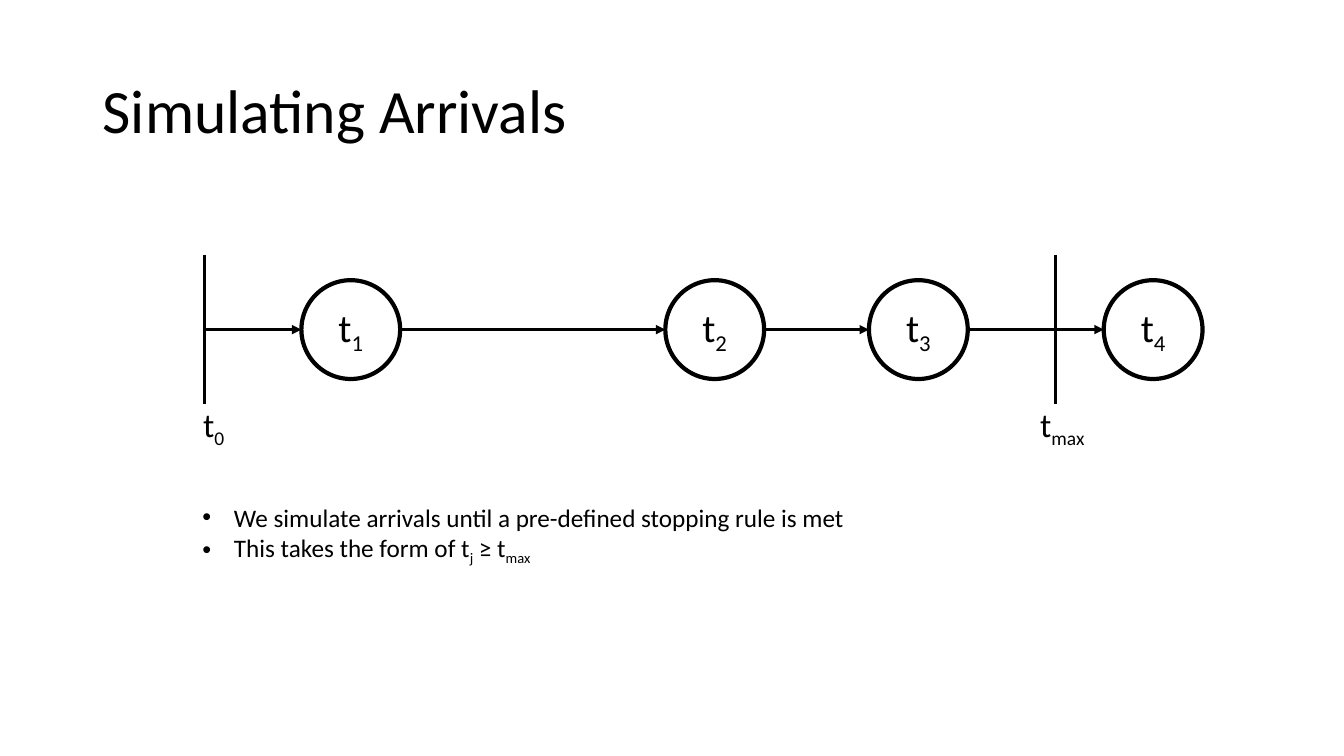
import itertools
from dataclasses import dataclass

import pptx
import pptx.dml.color
import pptx.enum.shapes
import pptx.enum.text
import pptx.oxml.ns
import pptx.shapes.autoshape
import pptx.slide
import pptx.text.text
import pptx.util
from lxml import etree

BLACK = pptx.dml.color.RGBColor(0, 0, 0)
FONT = "Calibri"
ALIGN = pptx.enum.text.PP_ALIGN
ANCHOR = pptx.enum.text.MSO_ANCHOR

WIDTH, HEIGHT = pptx.util.Inches(13.333), pptx.util.Inches(7.5)
GRID = 100  # columns and rows across the slide

AXIS_ROW = 43.6
TICK_ROWS = 9.87
LABEL_ROW = 56.4
DIAMETER = 7.35  # columns
INDENT = 2.34  # columns


@dataclass(frozen=True)
class Arrival:
    label: str
    col: float


@dataclass(frozen=True)
class Limit:
    label: str
    col: float
    label_col: float


ARRIVALS = [Arrival("t_1", 26.1), Arrival("t_2", 53.18), Arrival("t_3", 68.33), Arrival("t_4", 85.8)]
LIMITS = [Limit("t_0", 15.23, 15.9), Limit("t_max", 78.53, 79.05)]
RULES = [
    "We simulate arrivals until a pre-defined stopping rule is met",
    "This takes the form of t_j_ ≥ t_max",
]


def cols(n: float) -> int:
    return round(WIDTH * n / GRID)


def rows(n: float) -> int:
    return round(HEIGHT * n / GRID)


def child(parent: etree._Element, tag: str, **attrs: str) -> etree._Element:
    return etree.SubElement(parent, pptx.oxml.ns.qn(tag), **attrs)


def write(tf: pptx.text.text.TextFrame, *lines: str, size: float, align: ALIGN = ALIGN.LEFT,
          anchor: ANCHOR = ANCHOR.MIDDLE, spacing: float = 1.0, bullet: bool = False,
          inset: bool = True) -> None:
    """Write one paragraph per line; every second part between underscores is a subscript."""
    tf.word_wrap = True
    tf.vertical_anchor = anchor
    if not inset:
        tf.margin_left = tf.margin_right = tf.margin_top = tf.margin_bottom = 0
    for i, line in enumerate(lines):
        p = tf.add_paragraph() if i else tf.paragraphs[0]
        p.alignment, p.line_spacing = align, spacing
        if bullet:
            pPr = p._p.get_or_add_pPr()
            pPr.set("marL", str(cols(INDENT)))
            pPr.set("indent", str(-cols(INDENT)))
            child(pPr, "a:buFont", typeface="Arial")
            child(pPr, "a:buChar", char="•")
        for j, part in enumerate(line.split("_")):
            r = p.add_run()
            r.text = part
            r.font.name, r.font.size = FONT, pptx.util.Pt(size)
            r.font.color.rgb = BLACK
            if j % 2:
                r._r.get_or_add_rPr().set("baseline", "-25000")


def add_line(s: pptx.slide.Slide, x1: int, y1: int, x2: int, y2: int, arrow: bool = False) -> None:
    line = s.shapes.add_connector(pptx.enum.shapes.MSO_CONNECTOR.STRAIGHT, x1, y1, x2, y2)
    line.line.color.rgb = BLACK
    line.line.width = pptx.util.Pt(2.25)
    if arrow:
        child(line.line._get_or_add_ln(), "a:tailEnd", type="triangle")
    child(line._element.spPr, "a:effectLst")


def add_arrival(s: pptx.slide.Slide, arrival: Arrival) -> None:
    d = cols(DIAMETER)
    sp = s.shapes.add_shape(pptx.enum.shapes.MSO_SHAPE.OVAL,
                            cols(arrival.col) - d // 2, rows(AXIS_ROW) - d // 2, d, d)
    sp.shadow.inherit = False
    sp.fill.background()
    sp.line.color.rgb = BLACK
    sp.line.width = pptx.util.Pt(3)
    write(sp.text_frame, arrival.label, size=28, align=ALIGN.CENTER, inset=False)


def add_limit(s: pptx.slide.Slide, limit: Limit) -> None:
    x = cols(limit.col)
    add_line(s, x, rows(AXIS_ROW - TICK_ROWS), x, rows(AXIS_ROW + TICK_ROWS))
    d = cols(DIAMETER)
    sp = s.shapes.add_textbox(cols(limit.label_col) - d // 2, rows(LABEL_ROW) - d // 2, d, d)
    write(sp.text_frame, limit.label, size=24, align=ALIGN.CENTER, inset=False)


def main() -> None:
    prs = pptx.Presentation()
    prs.slide_width, prs.slide_height = WIDTH, HEIGHT
    s = prs.slides.add_slide(prs.slide_layouts[6])

    title = s.shapes.add_textbox(cols(6.9), rows(5.33), cols(86.25), rows(19.33))
    write(title.text_frame, "Simulating Arrivals", size=44, spacing=0.9)

    for arrival in ARRIVALS:
        add_arrival(s, arrival)
    radius = DIAMETER / 2
    departures = [LIMITS[0].col] + [a.col + radius for a in ARRIVALS]
    y = rows(AXIS_ROW)
    for start, arrival in zip(departures, ARRIVALS):
        add_line(s, cols(start), y, cols(arrival.col - radius), y, arrow=True)
    for limit in LIMITS:
        add_limit(s, limit)

    rules = s.shapes.add_textbox(cols(14.33), rows(65.73), cols(71.4), rows(9.47))
    write(rules.text_frame, *RULES, size=18, anchor=ANCHOR.TOP, bullet=True)

    prs.save("out.pptx")


if __name__ == "__main__":
    main()
